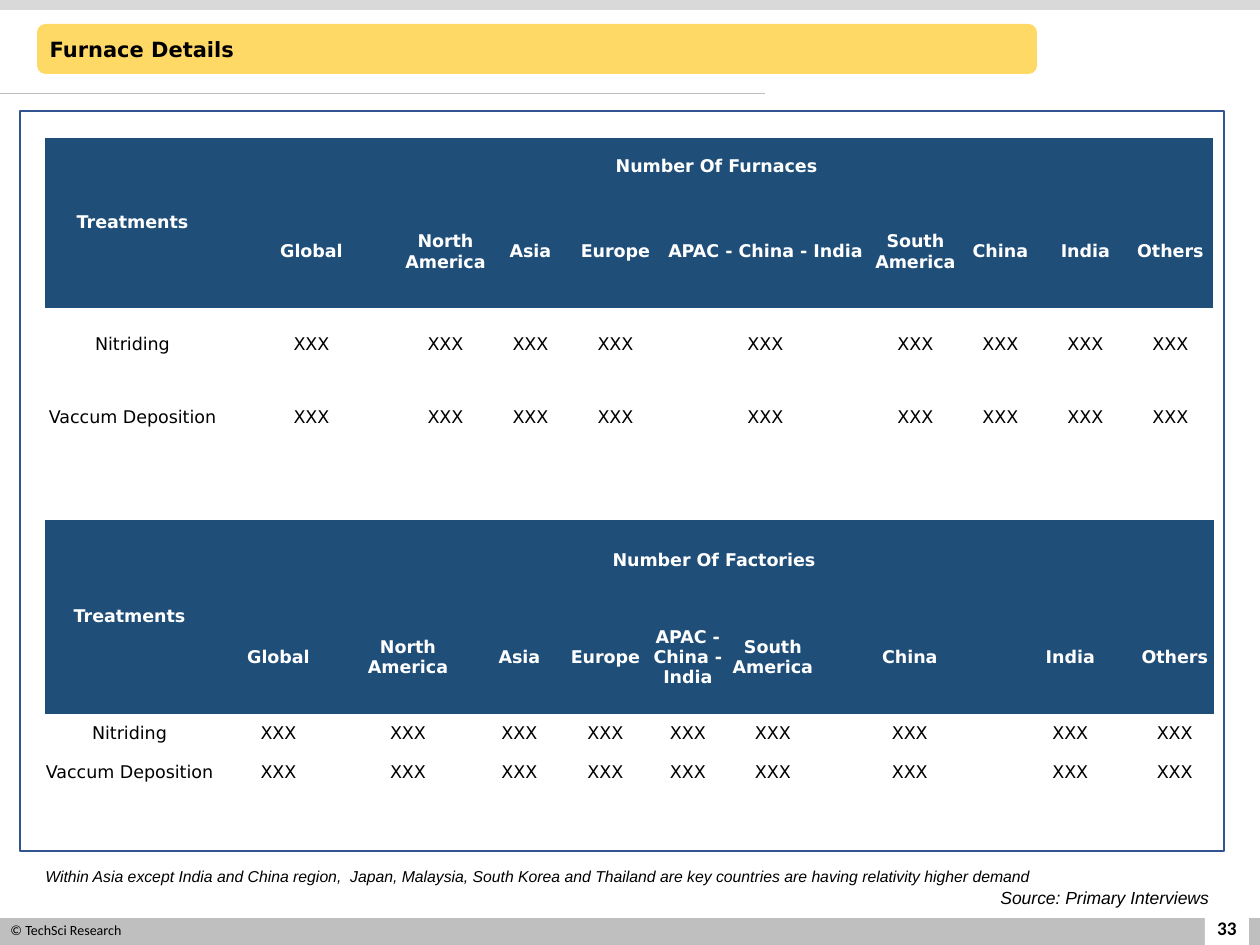
from pptx import Presentation
from pptx.dml.color import RGBColor
from pptx.enum.shapes import MSO_CONNECTOR, MSO_SHAPE
from pptx.enum.text import MSO_ANCHOR, MSO_AUTO_SIZE, PP_ALIGN
from pptx.oxml.ns import qn
from pptx.util import Emu, Pt

RECTANGLE, ROUNDED = MSO_SHAPE.RECTANGLE, MSO_SHAPE.ROUNDED_RECTANGLE
STRAIGHT = MSO_CONNECTOR.STRAIGHT
TOP, MIDDLE = MSO_ANCHOR.TOP, MSO_ANCHOR.MIDDLE
LEFT, CENTER, RIGHT = PP_ALIGN.LEFT, PP_ALIGN.CENTER, PP_ALIGN.RIGHT
NO_AUTOFIT = MSO_AUTO_SIZE.NONE

EMU_PER_PX = 914400 / 126
TITLE_ONLY = 5
PLAIN_TABLE_STYLE = "{2D5ABB26-0587-4C30-8999-92F81FD0307C}"
TABLE_FONT = "DejaVu Sans"

COLORS = {
    "white": "FFFFFF",
    "black": "000000",
    "top bar": "D9D9D9",
    "grey": "BFBFBF",
    "frame": "325491",
    "title bar": "FFD966",
    "header": "1F4E79",
}

REGIONS = ["Global", "North America", "Asia", "Europe", "APAC - China - India",
           "South America", "China", "India", "Others"]
TREATMENTS = ["Nitriding", "Vaccum Deposition"]


def px(length):
    return Emu(round(length * EMU_PER_PX))


def box(*lengths):
    return [px(length) for length in lengths]


def color(name):
    return RGBColor.from_string(COLORS[name])


def format_paragraph(paragraph, size, font_name, color_name="black",
                     bold=False, italic=False, align=LEFT):
    paragraph.alignment = align
    font = paragraph.font
    font.size, font.name = Pt(size), font_name
    font.bold, font.italic = bold, italic
    font.color.rgb = color(color_name)


def add_block(slide, position, fill, line=None, kind=RECTANGLE):
    shape = slide.shapes.add_shape(kind, *box(*position))
    shape.shadow.inherit = False
    shape.fill.solid()
    shape.fill.fore_color.rgb = color(fill)
    if line:
        shape.line.color.rgb = color(line)
        shape.line.width = Pt(1)
    else:
        shape.line.fill.background()
    return shape


def add_rule(slide, start, end):
    rule = slide.shapes.add_connector(STRAIGHT, *box(*start, *end))
    rule.line.color.rgb = color("grey")
    rule.line.width = Pt(0.5)
    properties = rule.element.spPr
    properties.append(properties.makeelement(qn("a:effectLst"), {}))


def add_text(slide, position, text, size, font_name, anchor=TOP, **style):
    shape = slide.shapes.add_textbox(*box(*position))
    frame = shape.text_frame
    frame.word_wrap = True
    frame.vertical_anchor = anchor
    frame.text = text
    format_paragraph(frame.paragraphs[0], size, font_name, **style)


def set_title(slide, text):
    bar = add_block(slide, (37, 24, 1000, 50), "title bar", kind=ROUNDED)
    title = slide.shapes.title
    title.left, title.top, title.width, title.height = box(37, 30, 921, 38)
    frame = title.text_frame
    frame.auto_size = NO_AUTOFIT
    frame.vertical_anchor = TOP
    frame.text = text
    format_paragraph(frame.paragraphs[0], 12, TABLE_FONT, bold=True)
    bar.element.addnext(title.element)  # text in front of its bar


def format_cell(cell, text, is_header):
    cell.margin_left = cell.margin_right = 0
    cell.margin_top = cell.margin_bottom = 0
    cell.vertical_anchor = MIDDLE
    if is_header:
        cell.fill.solid()
        cell.fill.fore_color.rgb = color("header")
    else:
        cell.fill.background()
    cell.text = text
    format_paragraph(cell.text_frame.paragraphs[0], 10, TABLE_FONT,
                     "white" if is_header else "black",
                     bold=is_header, align=CENTER)


def add_region_table(slide, top, heading, widths, heights):
    rows = [["Treatments", heading] + [""] * (len(REGIONS) - 1),
            [""] + REGIONS]
    rows += [[name] + ["XXX"] * len(REGIONS) for name in TREATMENTS]
    graphic = slide.shapes.add_table(
        len(rows), len(widths), *box(45, top, sum(widths), sum(heights)))
    next(graphic.element.iter(qn("a:tableStyleId"))).text = PLAIN_TABLE_STYLE
    table = graphic.table
    table.first_row = table.horz_banding = False
    for column, width in zip(table.columns, widths):
        column.width = px(width)
    for row, height in zip(table.rows, heights):
        row.height = px(height)
    for row_index, texts in enumerate(rows):
        for column_index, text in enumerate(texts):
            format_cell(table.cell(row_index, column_index), text, row_index < 2)
    table.cell(0, 0).merge(table.cell(1, 0))
    table.cell(0, 1).merge(table.cell(0, len(REGIONS)))


def main():
    presentation = Presentation()
    presentation.slide_width, presentation.slide_height = box(1260, 945)
    slide = presentation.slides.add_slide(presentation.slide_layouts[TITLE_ONLY])

    # Page furniture
    add_block(slide, (0, 918, 1262, 29), "grey")
    add_block(slide, (0, 0, 1262, 10), "top bar")
    add_block(slide, (1205, 898, 44, 48), "white")
    add_text(slide, (1196, 903, 62, 50), "33", 11, "Calibri",
             anchor=MIDDLE, bold=True, align=CENTER)
    add_rule(slide, (0, 93), (765, 93))
    add_text(slide, (-2, 915, 260, 46), "© TechSci Research", 8, "Calibri")

    # Content frame and title
    add_block(slide, (20, 111, 1204, 740), "white", line="frame")
    set_title(slide, "Furnace Details")

    # Tables
    add_region_table(slide, 138, "Number Of Furnaces",
                     [175, 183] + [85] * 3 + [215] + [85] * 4,
                     [58, 112, 74, 71])
    add_region_table(slide, 520, "Number Of Factories",
                     [169, 129, 130, 93, 79, 86, 84, 190, 131, 78],
                     [81, 113, 39, 40])

    # Source and note
    add_text(slide, (659, 881, 562, 34), "Source: Primary Interviews", 10,
             "Arial", italic=True, align=RIGHT)
    add_text(slide, (33, 861, 1159, 32),
             "Within Asia except India and China region,  Japan, Malaysia, "
             "South Korea and Thailand are key countries are having "
             "relativity higher demand", 9, "Arial", italic=True)

    presentation.save("out.pptx")


if __name__ == "__main__":
    main()
